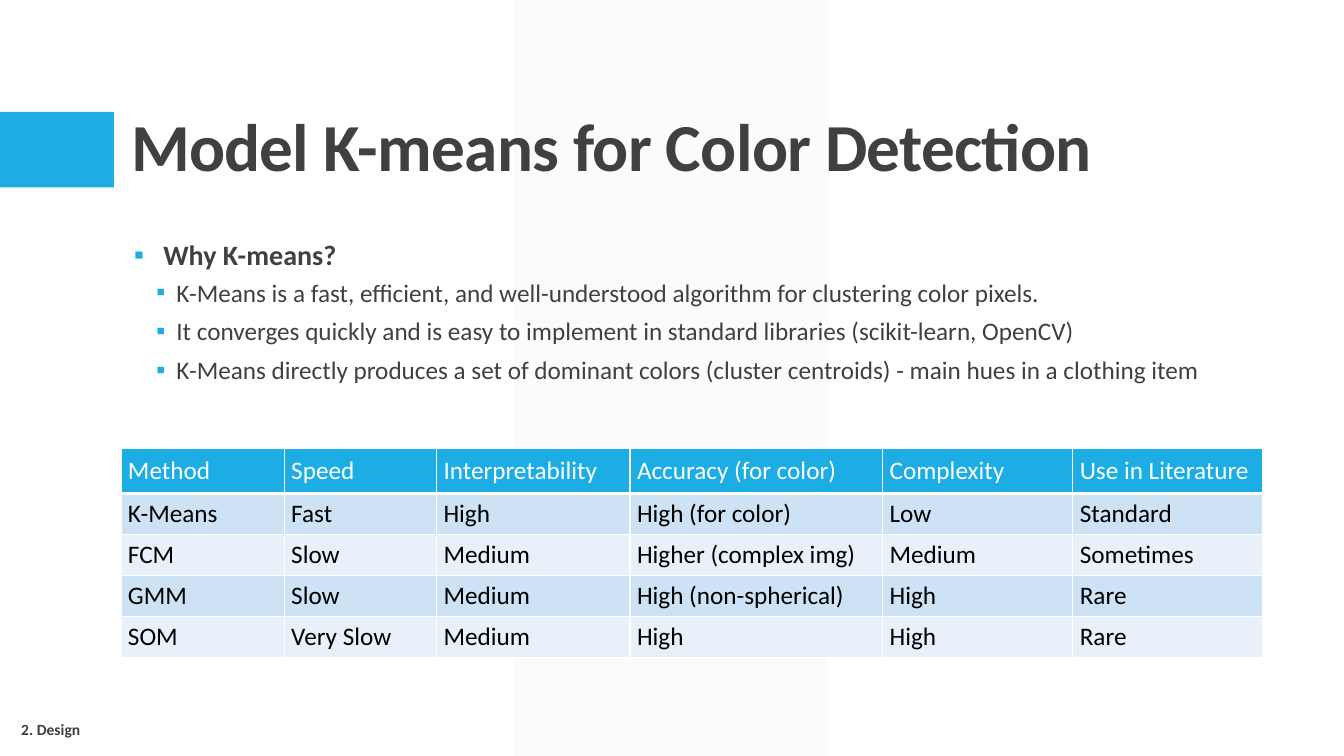
from dataclasses import dataclass

from lxml.etree import SubElement
from pptx import Presentation
from pptx.dml.color import RGBColor
from pptx.enum.shapes import MSO_SHAPE
from pptx.enum.text import MSO_ANCHOR, MSO_AUTO_SIZE, PP_ALIGN
from pptx.oxml.ns import qn
from pptx.util import Inches, Pt


@dataclass(frozen=True)
class Theme:
    font: str = "Calibri"
    accent: str = "1CADE4"
    ink: str = "404040"
    black: str = "000000"
    white: str = "FFFFFF"
    band: str = "F2F2F2"
    row_dark: str = "CDE3F5"
    row_light: str = "E8F1FA"
    title: float = 48
    heading: float = 20
    body: float = 18
    footer: float = 11.1


@dataclass(frozen=True)
class Box:
    """Place and size in percent of the slide's width and height."""
    x: float
    y: float
    w: float
    h: float


@dataclass(frozen=True)
class Bullet:
    text: str
    level: int = 1


@dataclass(frozen=True)
class BulletStyle:
    size: float
    bold: bool
    left: float
    hang: float
    before: float
    after: float


T = Theme()
WIDTH, HEIGHT = Inches(13.33), Inches(7.5)
BAND = Box(38.26, 0, 23.41, 100)
TAB = Box(0, 14.8, 8.48, 10)
TITLE = Box(9, 4.13, 82.52, 21.2)
BODY = Box(9.98, 30.8, 82.52, 26)
TABLE = Box(9, 59.33, 84.98, 27.45)
FOOTER = Box(1.05, 94.93, 10.5, 3.47)

BULLET_STYLES = (
    BulletStyle(T.heading, True, 0.29, 0.29, 0, 2),
    BulletStyle(T.body, False, 0.42, 0.2, 2, 4),
)
BULLETS = (
    Bullet("Why K-means?", 0),
    Bullet("K-Means is a fast, efficient, and well-understood algorithm for clustering color pixels."),
    Bullet("It converges quickly and is easy to implement in standard libraries (scikit-learn, OpenCV)"),
    Bullet("K-Means directly produces a set of dominant colors (cluster centroids) - main hues in a clothing item"),
)
COLUMN_WIDTHS = (12.15, 11.33, 14.4, 18.8, 14.15, 14.15)
HEADER_HEIGHT, ROW_HEIGHT = 5.73, 5.43
METHODS = (
    ("Method", "Speed", "Interpretability", "Accuracy (for color)", "Complexity", "Use in Literature"),
    ("K-Means", "Fast", "High", "High (for color)", "Low", "Standard"),
    ("FCM", "Slow", "Medium", "Higher (complex img)", "Medium", "Sometimes"),
    ("GMM", "Slow", "Medium", "High (non-spherical)", "High", "Rare"),
    ("SOM", "Very Slow", "Medium", "High", "High", "Rare"),
)


def across(share: float) -> int:
    return round(WIDTH * share / 100)


def down(share: float) -> int:
    return round(HEIGHT * share / 100)


def place(box: Box) -> tuple[int, int, int, int]:
    return across(box.x), down(box.y), across(box.w), down(box.h)


def write(p, text: str, *, size: float, color: str = T.ink, bold: bool = False,
          line: float | None = None, tracking: int = 0) -> None:
    p.alignment = PP_ALIGN.LEFT
    if line:
        p.line_spacing = line
    r = p.add_run()
    r.text = text
    r.font.name, r.font.size, r.font.bold = T.font, Pt(size), bold
    r.font.color.rgb = RGBColor.from_string(color)
    if tracking:
        r.font._element.set("spc", str(tracking))


def set_frame(tf, *, anchor=MSO_ANCHOR.TOP, left: float = 0.1, right: float = 0.1) -> None:
    tf.word_wrap = True
    tf.auto_size = MSO_AUTO_SIZE.NONE
    tf.vertical_anchor = anchor
    tf.margin_left, tf.margin_right = Inches(left), Inches(right)
    tf.margin_top = tf.margin_bottom = Inches(0.05)


def add_block(s, kind, box: Box, color: str | None):
    sp = s.shapes.add_shape(kind, *place(box))
    sp.shadow.inherit = False
    sp.line.fill.background()
    if color:
        sp.fill.solid()
        sp.fill.fore_color.rgb = RGBColor.from_string(color)
    else:
        sp.fill.background()
    return sp


def add_bullet(p, bullet: Bullet) -> None:
    style = BULLET_STYLES[bullet.level]
    p.level = bullet.level
    pPr = p._p.get_or_add_pPr()
    pPr.set("marL", str(Inches(style.left)))
    pPr.set("indent", str(-Inches(style.hang)))
    SubElement(SubElement(pPr, qn("a:buClr")), qn("a:srgbClr"), val=T.accent)
    SubElement(pPr, qn("a:buFont"), typeface=T.font)
    SubElement(pPr, qn("a:buChar"), char="▪")
    p.space_before, p.space_after = Pt(style.before), Pt(style.after)
    write(p, bullet.text, size=style.size, bold=style.bold)


def set_borders(cell, *, bottom: float, top: float) -> None:
    tcPr = cell._tc.get_or_add_tcPr()
    for side, width in (("L", 1), ("R", 1), ("T", top), ("B", bottom)):
        ln = SubElement(tcPr, qn(f"a:ln{side}"), w=str(Pt(width)))
        SubElement(SubElement(ln, qn("a:solidFill")), qn("a:srgbClr"), val=T.white)


def add_backdrop(s) -> None:
    band = add_block(s, MSO_SHAPE.PARALLELOGRAM, BAND, T.band)
    band.adjustments[0] = 0
    color = next(band._element.spPr.iter(qn("a:srgbClr")))
    SubElement(color, qn("a:alpha"), val="30000")
    add_block(s, MSO_SHAPE.RECTANGLE, TAB, T.accent)


def add_title(s) -> None:
    sp = s.shapes.title
    sp.left, sp.top, sp.width, sp.height = place(TITLE)
    sp.element.getparent().append(sp.element)  # in front of the backdrop
    set_frame(sp.text_frame, anchor=MSO_ANCHOR.BOTTOM)
    write(sp.text_frame.paragraphs[0], "Model K-means for Color Detection",
          size=T.title, bold=True, line=0.9, tracking=-50)


def add_body(s) -> None:
    tf = s.shapes.add_textbox(*place(BODY)).text_frame
    set_frame(tf, left=0, right=0)
    for i, bullet in enumerate(BULLETS):
        add_bullet(tf.add_paragraph() if i else tf.paragraphs[0], bullet)


def add_methods(s) -> None:
    table = s.shapes.add_table(len(METHODS), len(COLUMN_WIDTHS), *place(TABLE)).table
    for column, width in zip(table.columns, COLUMN_WIDTHS):
        column.width = across(width)
    for i, values in enumerate(METHODS):
        head = i == 0
        table.rows[i].height = down(HEADER_HEIGHT if head else ROW_HEIGHT)
        fill = T.accent if head else T.row_dark if i % 2 else T.row_light
        for j, text in enumerate(values):
            cell = table.cell(i, j)
            cell.margin_left = cell.margin_right = Inches(0.07)
            cell.margin_top = cell.margin_bottom = Inches(0.07 if head else 0.05)
            cell.vertical_anchor = MSO_ANCHOR.TOP if head else MSO_ANCHOR.MIDDLE
            set_borders(cell, bottom=3 if head else 1, top=3 if i == 1 else 1)
            cell.fill.solid()
            cell.fill.fore_color.rgb = RGBColor.from_string(fill)
            write(cell.text_frame.paragraphs[0], text, size=T.body,
                  color=T.white if head else T.black)


def add_footer(s) -> None:
    sp = add_block(s, MSO_SHAPE.RECTANGLE, FOOTER, None)
    sp.line.color.rgb = RGBColor.from_string(T.white)
    sp.line.width = Pt(0.75)
    set_frame(sp.text_frame, anchor=MSO_ANCHOR.MIDDLE, left=0.07, right=0)
    write(sp.text_frame.paragraphs[0], "2. Design", size=T.footer, bold=True, line=0.8)


def main() -> None:
    prs = Presentation()
    prs.slide_width, prs.slide_height = WIDTH, HEIGHT
    s = prs.slides.add_slide(prs.slide_layouts.get_by_name("Title Only"))
    for draw in (add_backdrop, add_title, add_body, add_methods, add_footer):
        draw(s)
    prs.save("out.pptx")


if __name__ == "__main__":
    main()
